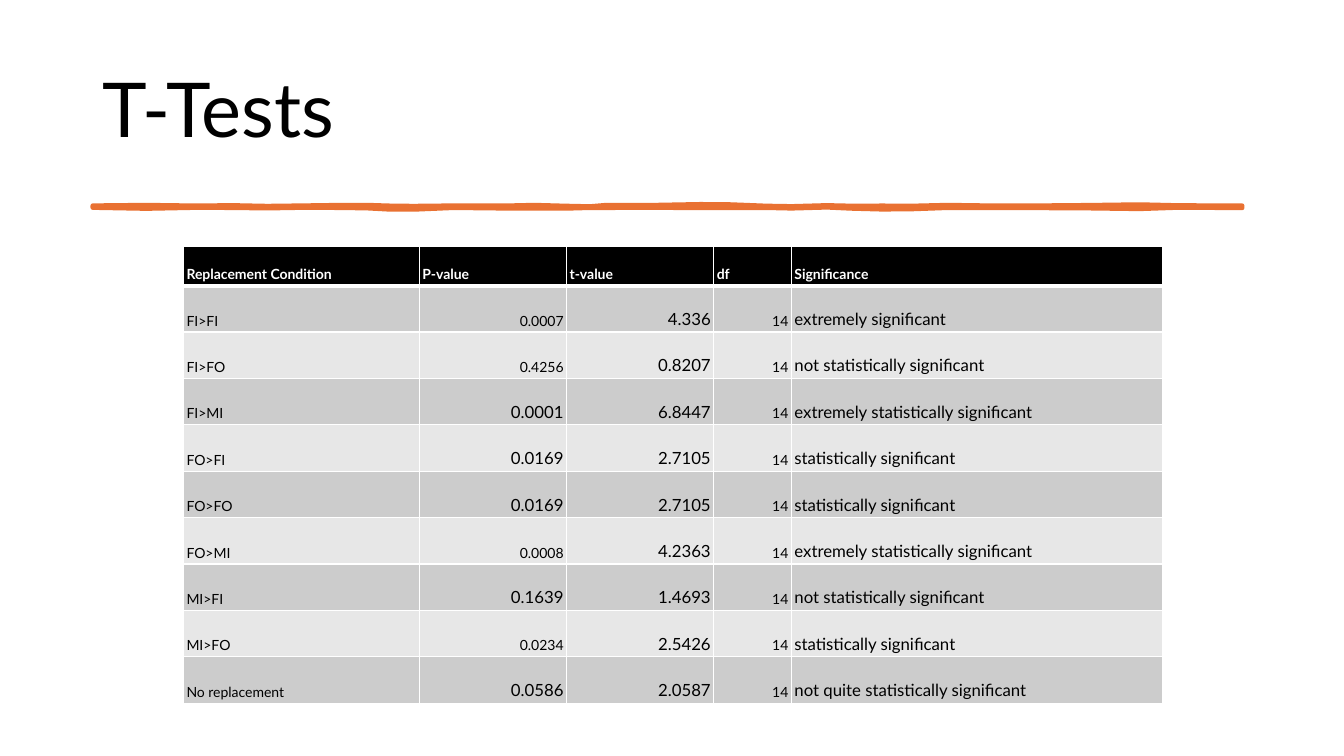
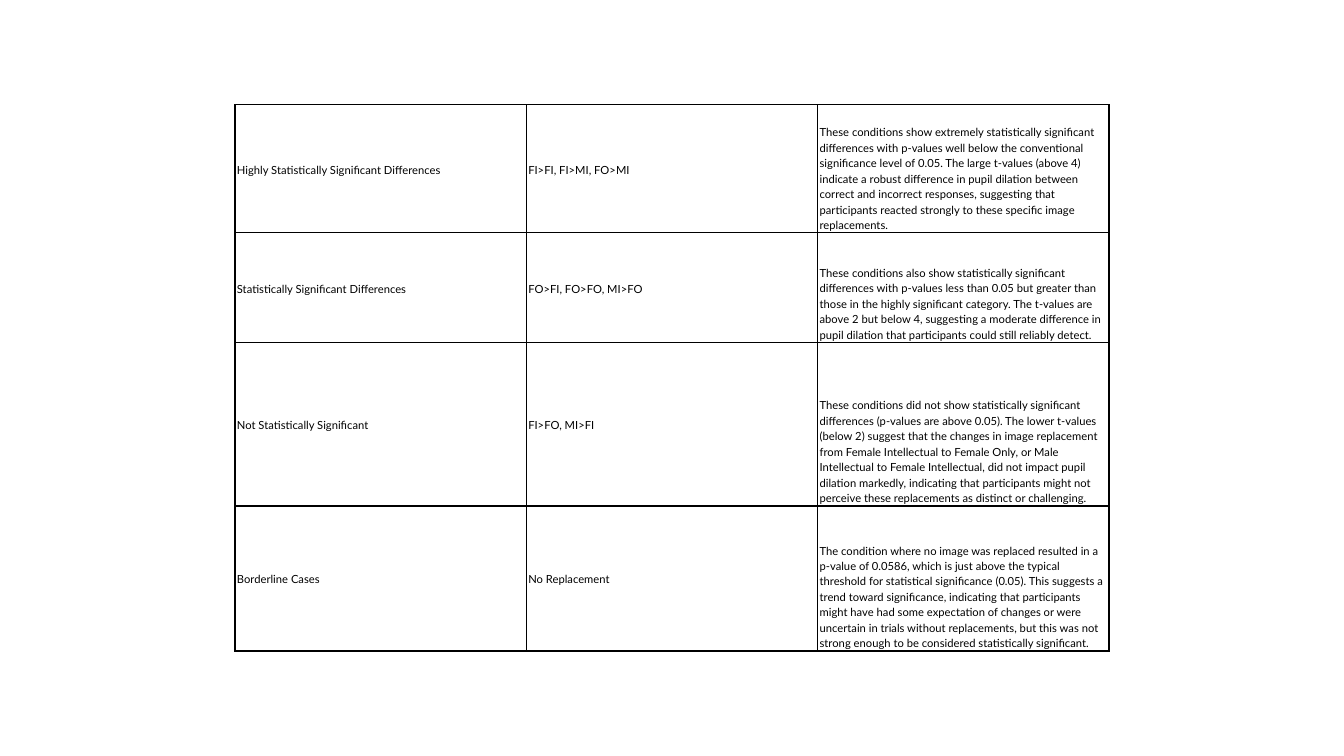
from pptx import Presentation
from pptx.dml.color import RGBColor
from pptx.enum.text import MSO_ANCHOR, PP_ALIGN
from pptx.oxml.ns import qn
from pptx.util import Inches, Pt
from lxml import etree

FONT = "Lato"
BLACK = RGBColor(0x00, 0x00, 0x00)
WHITE = RGBColor(0xFF, 0xFF, 0xFF)
ORANGE = RGBColor(0xE9, 0x71, 0x32)
BANDS = (RGBColor(0xCC, 0xCC, 0xCC), RGBColor(0xE7, 0xE7, 0xE7))

# Content
TITLE = "T-Tests"
HEADER = ("Replacement Condition", "P-value", "t-value", "df", "Significance")
TESTS = [
    ("FI>FI", "0.0007", "4.336", "14", "extremely significant"),
    ("FI>FO", "0.4256", "0.8207", "14", "not statistically significant"),
    ("FI>MI", "0.0001", "6.8447", "14", "extremely statistically significant"),
    ("FO>FI", "0.0169", "2.7105", "14", "statistically significant"),
    ("FO>FO", "0.0169", "2.7105", "14", "statistically significant"),
    ("FO>MI", "0.0008", "4.2363", "14", "extremely statistically significant"),
    ("MI>FI", "0.1639", "1.4693", "14", "not statistically significant"),
    ("MI>FO", "0.0234", "2.5426", "14", "statistically significant"),
    ("No replacement", "0.0586", "2.0587", "14", "not quite statistically significant"),
]
SMALL_P_VALUES = {"0.0007", "0.4256", "0.0008", "0.0234"}
TEST_WIDTHS = (2.34, 1.46, 1.46, 0.77, 3.68)
TEST_SIZES = (10, 12, 12, 10, 12)
TEST_ALIGNS = (PP_ALIGN.LEFT, PP_ALIGN.RIGHT, PP_ALIGN.RIGHT, PP_ALIGN.RIGHT, PP_ALIGN.LEFT)

FINDINGS = [
    ("Highly Statistically Significant Differences", "FI>FI, FI>MI, FO>MI",
     "These conditions show extremely statistically significant differences with p-values "
     "well below the conventional significance level of 0.05. The large t-values (above 4) "
     "indicate a robust difference in pupil dilation between correct and incorrect responses, "
     "suggesting that participants reacted strongly to these specific image replacements."),
    ("Statistically Significant Differences", "FO>FI, FO>FO, MI>FO",
     "These conditions also show statistically significant differences with p-values less than "
     "0.05 but greater than those in the highly significant category. The t-values are above 2 "
     "but below 4, suggesting a moderate difference in pupil dilation that participants could "
     "still reliably detect."),
    ("Not Statistically Significant", "FI>FO, MI>FI",
     "These conditions did not show statistically significant differences (p-values are above "
     "0.05). The lower t-values (below 2) suggest that the changes in image replacement from "
     "Female Intellectual to Female Only, or Male Intellectual to Female Intellectual, did not "
     "impact pupil dilation markedly, indicating that participants might not perceive these "
     "replacements as distinct or challenging."),
    ("Borderline Cases", "No Replacement",
     "The condition where no image was replaced resulted in a p-value of 0.0586, which is just "
     "above the typical threshold for statistical significance (0.05). This suggests a trend "
     "toward significance, indicating that participants might have had some expectation of "
     "changes or were uncertain in trials without replacements, but this was not strong enough "
     "to be considered statistically significant."),
]
FINDING_HEIGHTS = (1.27, 1.09, 1.62, 1.44)

# Brush stroke: x in inches, then rise above and drop below its centre in points
STROKE_CENTRE = 2.05
STROKE = [
    (0.92, 0.7, 0.7), (1.45, 1.1, 1.4), (1.95, 0.6, 0.7), (2.3, 0.9, 0.8),
    (2.65, 0.4, 1.1), (3.0, 0.7, 0.7), (3.4, 1.1, 0.8), (3.65, 1.1, 1.1),
    (3.85, 0.6, 1.9), (4.1, 0.4, 2.0), (4.5, 0.7, 0.8), (5.0, 0.6, 1.2),
    (5.3, 1.1, 1.2), (5.6, 0.5, 1.3), (5.85, 0.1, 0.8), (6.0, 1.0, 0.8),
    (6.5, 1.1, 0.7), (6.95, 1.7, 0.9), (7.25, 1.5, 0.8), (7.6, 0.5, 0.8),
    (7.85, 0.2, 1.2), (8.2, 0.9, 0.5), (8.45, 0.5, 1.3), (8.75, 0.6, 1.9),
    (9.05, 0.5, 1.7), (9.4, 1.1, 0.8), (9.8, 0.7, 0.9), (10.3, 0.7, 0.9),
    (10.8, 1.0, 1.1), (11.3, 1.5, 1.6), (11.7, 0.8, 0.6), (12.32, 0.7, 0.9),
]


def style_text(frame, content, size, color=BLACK, bold=False, align=PP_ALIGN.LEFT, spacing=1.0):
    para = frame.paragraphs[0]
    para.text = content
    para.alignment = align
    para.line_spacing = spacing
    font = para.runs[0].font
    font.name, font.size, font.bold = FONT, Pt(size), bold
    font.color.rgb = color
    return para


def set_borders(cell, color, **widths):
    """Draw the four sides, 1 pt wide unless L, R, T or B says otherwise."""
    props = cell._tc.get_or_add_tcPr()
    for side in "LRTB":
        line = etree.SubElement(props, qn(f"a:ln{side}"), w=str(Pt(widths.get(side, 1))))
        fill = etree.SubElement(line, qn("a:solidFill"))
        etree.SubElement(fill, qn("a:srgbClr"), val=str(color))


def add_plain_table(page, left, top, widths, heights):
    table = page.shapes.add_table(len(heights), len(widths), Inches(left), Inches(top),
                                  Inches(sum(widths)), Inches(sum(heights))).table
    table.first_row = table.horz_banding = False
    for column, width in zip(table.columns, widths):
        column.width = Inches(width)
    for row, height in zip(table.rows, heights):
        row.height = Inches(height)
    return table


def set_cell(cell, anchor, inset_x, inset_y):
    cell.vertical_anchor = anchor
    cell.margin_left = cell.margin_right = Inches(inset_x)
    cell.margin_top = cell.margin_bottom = Inches(inset_y)


def add_title(page):
    box = page.shapes.add_textbox(Inches(0.92), Inches(0.4), Inches(11.5), Inches(1.45))
    frame = box.text_frame
    frame.word_wrap = True
    frame.vertical_anchor = MSO_ANCHOR.MIDDLE
    style_text(frame, TITLE, 54, spacing=0.9).space_after = Pt(6)


def add_stroke(page):
    centre = Inches(STROKE_CENTRE)
    upper = [(Inches(x), centre - Pt(rise)) for x, rise, _ in STROKE]
    lower = [(Inches(x), centre + Pt(drop)) for x, _, drop in reversed(STROKE)]
    builder = page.shapes.build_freeform(*upper[0])
    builder.add_line_segments(upper[1:] + lower, close=True)
    stroke = builder.convert_to_shape()
    stroke.shadow.inherit = False
    stroke.fill.solid()
    stroke.fill.fore_color.rgb = ORANGE
    stroke.line.color.rgb = ORANGE
    stroke.line.width = Pt(3.25)
    etree.SubElement(stroke.line._get_or_add_ln(), qn("a:round"))


def add_tests(page):
    heights = [0.38] + [0.44] * len(TESTS)
    table = add_plain_table(page, 1.82, 2.44, TEST_WIDTHS, heights)
    for r, row in enumerate([HEADER] + TESTS):
        for c, content in enumerate(row):
            cell = table.cell(r, c)
            set_cell(cell, MSO_ANCHOR.BOTTOM, 0.03, 0.03)
            set_borders(cell, WHITE, T=3 if r == 1 else 1, B=3 if r == 0 else 1)
            cell.fill.solid()
            if r == 0:
                cell.fill.fore_color.rgb = BLACK
                style_text(cell.text_frame, content, 10, WHITE, bold=True, spacing=2.0)
            else:
                cell.fill.fore_color.rgb = BANDS[(r - 1) % 2]
                size = 10 if content in SMALL_P_VALUES else TEST_SIZES[c]
                style_text(cell.text_frame, content, size, align=TEST_ALIGNS[c], spacing=2.0)


def add_findings(page):
    table = add_plain_table(page, 2.33, 1.04, [2.89] * 3, FINDING_HEIGHTS)
    for r, row in enumerate(FINDINGS):
        for c, content in enumerate(row):
            cell = table.cell(r, c)
            set_cell(cell, MSO_ANCHOR.BOTTOM if c == 2 else MSO_ANCHOR.MIDDLE, 0.02, 0.01)
            set_borders(cell, BLACK)
            cell.fill.background()
            style_text(cell.text_frame, content, 8, spacing=1.15)


def main():
    deck = Presentation()
    deck.slide_width, deck.slide_height = Inches(13.33), Inches(7.5)
    blank = deck.slide_layouts[6]

    # Test results
    page = deck.slides.add_slide(blank)
    add_title(page)
    add_stroke(page)
    add_tests(page)

    # Interpretation
    add_findings(deck.slides.add_slide(blank))
    deck.save("out.pptx")


if __name__ == "__main__":
    main()
